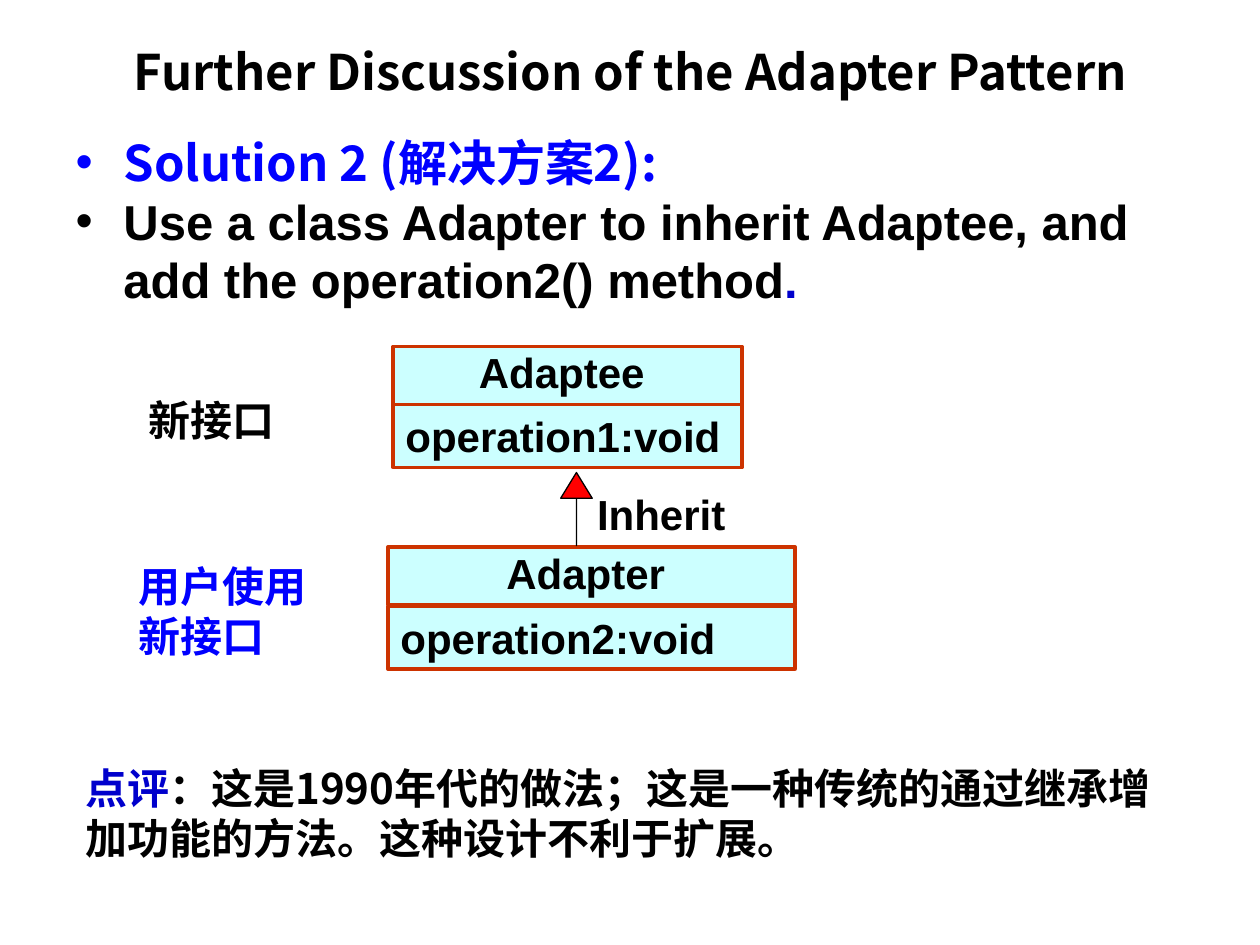
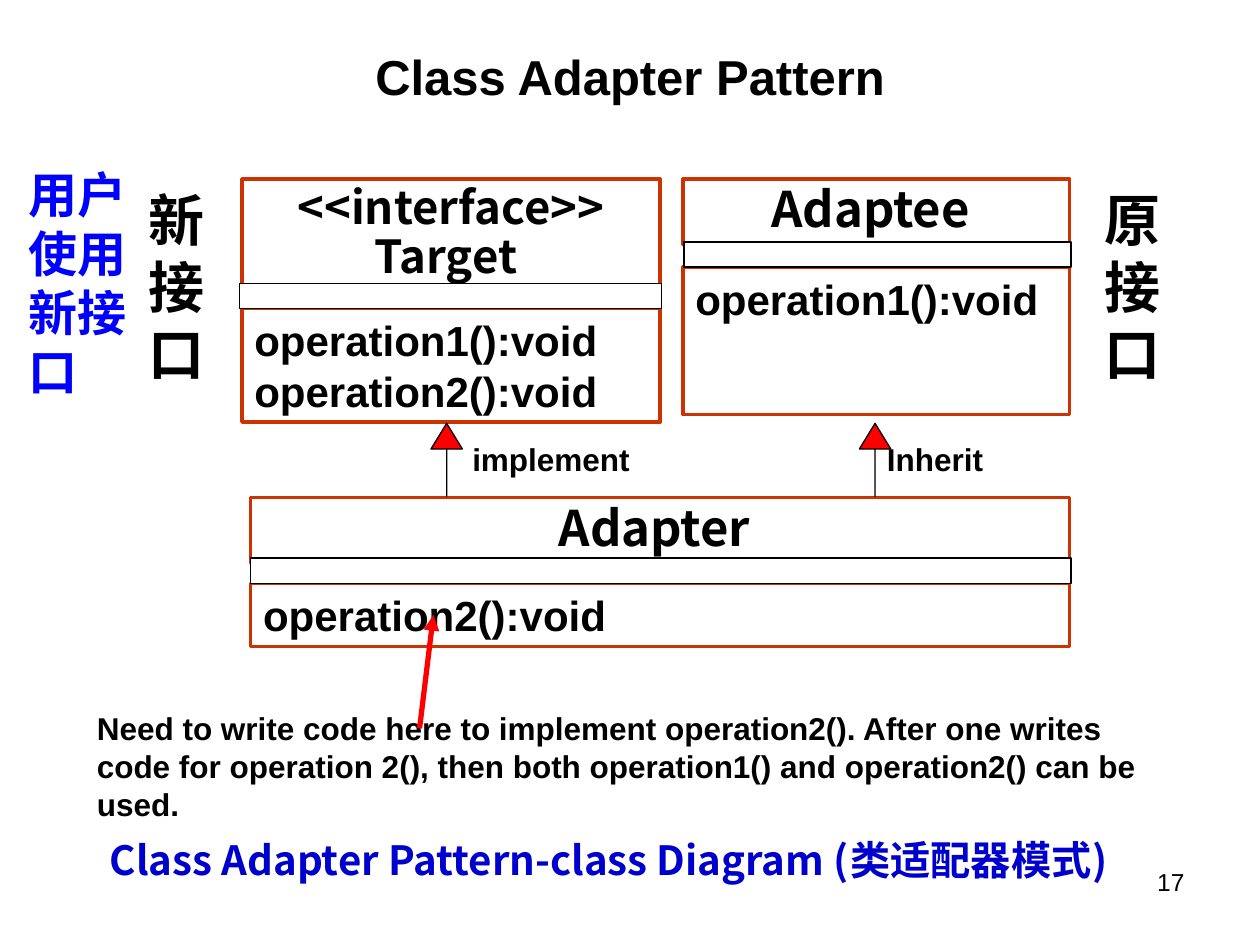
from dataclasses import dataclass
from typing import NamedTuple

from lxml import etree
from pptx import Presentation
from pptx.dml import color as dml
from pptx.enum import shapes, text
from pptx.oxml import ns
from pptx.util import Inches, Pt

# Shared look
SANS, CJK = "Arial", "Noto Sans CJK SC"
BLACK, WHITE, RED = "000000", "FFFFFF", "FF0000"
BLUE, NAVY = "0000FF", "0000CC"
CYAN, RUST = "CCFFFF", "CC3300"
LEFT, MID, RIGHT = text.PP_ALIGN.LEFT, text.PP_ALIGN.CENTER, text.PP_ALIGN.RIGHT
TOP, MIDDLE = text.MSO_ANCHOR.TOP, text.MSO_ANCHOR.MIDDLE
BAR = 0.2


class Box(NamedTuple):
    left: float
    top: float
    width: float
    height: float


class Part(NamedTuple):
    """A run that differs from the rest of its text."""
    words: str
    color: str = ""
    face: str = ""
    size: float = 0


@dataclass
class Klass:
    """A class with a name box, a body box and perhaps a bar between."""
    head: Box
    low: float
    depth: float
    name: list
    ops: list
    size: float = 24
    face: str = SANS
    fill: str = WHITE
    bar: tuple = ()


class Label(NamedTuple):
    box: Box
    paras: list
    size: float = 24
    face: str = SANS
    color: str = BLACK
    align: int = LEFT
    bold: bool = True


def rgb(code: str):
    return dml.RGBColor.from_string(code)


def spot(box: Box) -> list:
    return [Inches(v) for v in box]


def add(parent, tag: str, **attrs):
    return etree.SubElement(parent, ns.qn(tag), **attrs)


def write(shape, paras, size=24, face=SANS, color=BLACK, align=LEFT,
          bold=True, anchor=TOP, pitch=None, bullets=()):
    """Fill a shape; a paragraph is a string or a list of parts."""
    frame = shape.text_frame
    frame.word_wrap = True
    frame.auto_size = text.MSO_AUTO_SIZE.NONE
    frame.vertical_anchor = anchor
    for i, item in enumerate(paras):
        para = frame.paragraphs[0] if i == 0 else frame.add_paragraph()
        para.alignment = align
        para.space_before = Pt(0)
        if pitch:
            para.line_spacing = pitch
        if bullets:
            props = para._p.get_or_add_pPr()
            props.set("marL", str(Inches(0.38)))
            props.set("indent", str(-Inches(0.38)))
            add(add(props, "a:buClr"), "a:srgbClr", val=bullets[i])
            add(props, "a:buChar", char="•")
        for part in [Part(item)] if isinstance(item, str) else item:
            run = para.add_run()
            run.text = part.words
            font = run.font
            font.size = Pt(part.size or size)
            font.bold = bold
            font.color.rgb = rgb(part.color or color)
            font.name = part.face or face
            add(run._r.get_or_add_rPr(), "a:ea", typeface=font.name)


def block(slide, box: Box, fill: str, line=RUST, width=2.0,
          kind=shapes.MSO_SHAPE.RECTANGLE):
    shape = slide.shapes.add_shape(kind, *spot(box))
    shape.shadow.inherit = False
    shape.fill.solid()
    shape.fill.fore_color.rgb = rgb(fill)
    shape.line.color.rgb = rgb(line)
    shape.line.width = Pt(width)
    return shape


def draw(slide, item: Klass) -> None:
    body = item.head._replace(top=item.low, height=item.depth)
    write(block(slide, body, item.fill), item.ops)
    write(block(slide, item.head, item.fill), item.name, size=item.size,
          face=item.face, align=MID, pitch=0.9)
    if item.bar:
        left, width = item.bar
        block(slide, Box(left, item.low - BAR, width, BAR), WHITE, BLACK, 0.75)


def rise(slide, left: float, top: float) -> None:
    """Inheritance arrow: a solid head on a hairline shaft."""
    arrow = block(slide, Box(left, top, 0.25, 0.58), RED, BLACK, 0.75,
                  shapes.MSO_SHAPE.UP_ARROW)
    arrow.adjustments[0] = 0
    arrow.adjustments[1] = 0.816


def note(slide, item: Label) -> None:
    shape = slide.shapes.add_textbox(*spot(item.box))
    write(shape, item.paras, item.size, item.face, item.color, item.align,
          item.bold)


def place(shape, box: Box) -> None:
    shape.left, shape.top, shape.width, shape.height = spot(box)


def start(deck, layout: int, title: str, box: Box, face: str):
    slide = deck.slides.add_slide(deck.slide_layouts[layout])
    place(slide.shapes.title, box)
    write(slide.shapes.title, [title], size=28, face=face, align=MID,
          anchor=MIDDLE)
    return slide


def point(slide, ends: tuple) -> None:
    """Red pointer from the remark to the method."""
    line = slide.shapes.add_connector(shapes.MSO_CONNECTOR.STRAIGHT,
                                      *[Inches(v) for v in ends])
    line.line.color.rgb = rgb(RED)
    line.line.width = Pt(3)
    add(line.line._get_or_add_ln(), "a:tailEnd", type="triangle")
    add(line._element.spPr, "a:effectLst")


def solution(deck) -> None:
    slide = start(deck, 1, "Further Discussion of the Adapter Pattern",
                  Box(0.5, 0.3, 9, 0.53), CJK)
    body = slide.placeholders[1]
    place(body, Box(0.5, 1, 9, 1.58))
    write(body, [
        [Part("Solution 2 (解决方案2):", BLUE, CJK)],
        [Part("Use a class Adapter to inherit Adaptee, and "
              "add the operation2() method"), Part(".", NAVY)],
    ], size=28, bullets=(BLUE, BLACK))

    # Class diagram
    for item in (
        Klass(Box(3.12, 2.75, 2.77, 0.46), 3.21, 0.5, ["Adaptee "],
              ["operation1:void"], fill=CYAN),
        Klass(Box(3.08, 4.34, 3.23, 0.46), 4.81, 0.5, ["Adapter "],
              ["operation2:void"], fill=CYAN),
    ):
        draw(slide, item)
    rise(slide, 4.45, 3.75)

    # Labels and comment
    for item in (
        Label(Box(4.64, 3.83, 1.75, 0.5), ["Inherit"]),
        Label(Box(1.08, 3.08, 1.58, 0.5), ["新接口"], face=CJK),
        Label(Box(1, 4.4, 1.58, 0.9), ["用户使用新接口"], face=CJK, color=BLUE),
        Label(Box(0.58, 6, 8.92, 1), [
            [Part("点评", NAVY),
             Part("：这是1990年代的做法；这是一种传统的通过继承增")],
            "加功能的方法。这种设计不利于扩展。"], face=CJK),
    ):
        note(slide, item)


def diagram(deck) -> None:
    slide = start(deck, 5, "Class Adapter Pattern", Box(0.5, 0.25, 9, 0.7), SANS)

    # Class diagram
    gap = Part(" ", face=SANS, size=24)
    for item in (
        Klass(Box(1.92, 1.42, 3.32, 0.88), 2.45, 0.9,
              ["<<interface>>", "Target "],
              ["operation1():void", "operation2():void"], 26, CJK,
              bar=(1.9, 3.35)),
        Klass(Box(5.42, 1.42, 3.07, 0.52), 2.12, 1.17,
              [[Part("Adaptee"), gap]], ["operation1():void"], 28, CJK,
              bar=(5.43, 3.07)),
        Klass(Box(1.99, 3.95, 6.5, 0.52), 4.63, 0.5,
              [[Part("Adapter"), gap]], ["operation2():void"], 28, CJK,
              bar=(1.99, 6.51)),
    ):
        draw(slide, item)
    for left in (3.42, 6.82):
        rise(slide, left, 3.36)

    # Labels, remark, caption and page number
    for item in (
        Label(Box(6.94, 3.44, 1.22, 0.4), ["Inherit"], 18),
        Label(Box(3.65, 3.44, 1.77, 0.4), ["implement"], 18),
        Label(Box(8.67, 1.42, 0.79, 1.7), list("原接口"), 32, CJK),
        Label(Box(1.08, 1.42, 0.67, 1.7), list("新接口"), 32, CJK),
        Label(Box(0.13, 1.26, 1.04, 1.97), ["用户", "使用", "新接", "口"],
              28, CJK, BLUE),
        Label(Box(0.67, 5.58, 8.75, 1), [
            "Need to write code here to implement operation2(). After one "
            "writes code for operation 2(), then both operation1() and "
            "operation2() can be used."], 18),
        Label(Box(0.58, 6.58, 8.5, 0.49),
              ["Class Adapter Pattern-class Diagram (类适配器模式)"],
              23, CJK, NAVY, MID),
        Label(Box(7.17, 6.83, 2.33, 0.52), ["17"], 14, align=RIGHT, bold=False),
    ):
        note(slide, item)
    point(slide, (3.33, 5.78, 3.44, 4.88))


def main() -> None:
    deck = Presentation()
    deck.slide_width, deck.slide_height = Inches(10), Inches(7.5)
    solution(deck)
    diagram(deck)
    deck.save("out.pptx")


if __name__ == "__main__":
    main()
